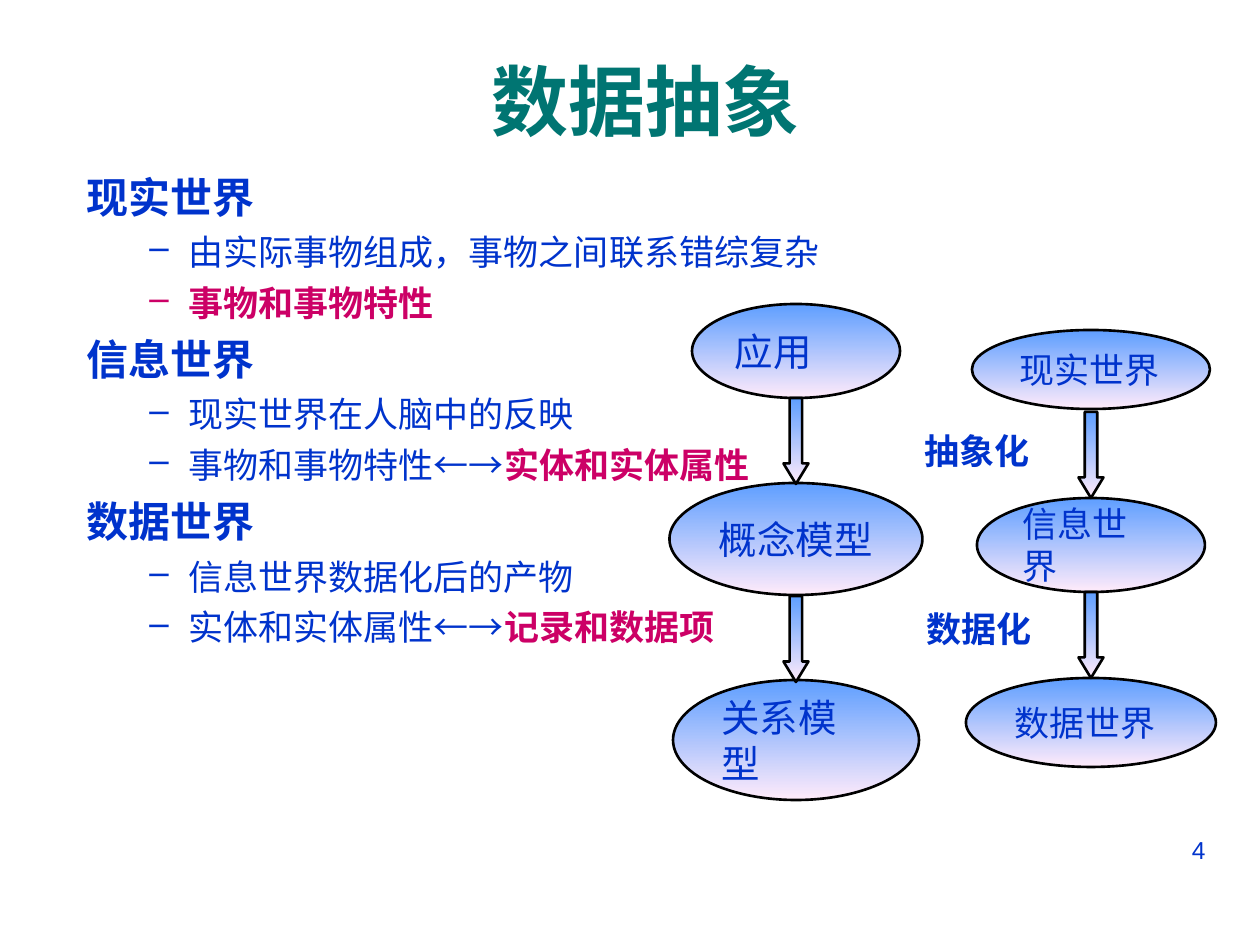
"""Build the data abstraction slide with its outline and two model chains."""
import lxml.etree
import pptx
import pptx.dml.color
import pptx.enum.shapes
import pptx.enum.text
import pptx.oxml.ns
import pptx.util

PX = 914400 / 126
COLORS = {"blue": "0033CC", "pink": "CC0066", "teal": "007572",
          "top": "5E9EFF", "bottom": "FFEBFA", "line": "000000"}
CJK = "Noto Sans CJK SC"
ALIGN = pptx.enum.text.PP_ALIGN
ANCHOR = pptx.enum.text.MSO_ANCHOR
SHAPE = pptx.enum.shapes.MSO_SHAPE


def rgb(name):
    return pptx.dml.color.RGBColor.from_string(COLORS[name])


def add_run(p, text, color="blue", latin="Arial", **formats):
    r = p.add_run()
    r.text = text
    r.font.color.rgb = rgb(color)
    r.font.name = latin
    for key, value in formats.items():
        setattr(r.font, key, pptx.util.Pt(value) if key == "size" else value)
    ea = lxml.etree.SubElement(r.font._element, pptx.oxml.ns.qn("a:ea"))
    ea.set("typeface", CJK)


prs = pptx.Presentation()
prs.slide_width = pptx.util.Inches(10)
prs.slide_height = pptx.util.Inches(7.5)
s = prs.slides.add_slide(prs.slide_layouts[5])

title = s.shapes.title
place = {"left": 126, "top": 21, "width": 1040, "height": 158}
for key, value in place.items():
    setattr(title, key, int(value * PX))
title.text_frame.vertical_anchor = ANCHOR.MIDDLE
p = title.text_frame.paragraphs[0]
p.alignment = ALIGN.CENTER
add_run(p, "数据抽象", "teal", "Times New Roman", size=44, bold=True)

outline = [
    (0, [("现实世界", "blue")]),
    (1, [("由实际事物组成，事物之间联系错综复杂", "blue")]),
    (1, [("事物和事物特性", "pink")]),
    (0, [("信息世界", "blue")]),
    (1, [("现实世界在人脑中的反映", "blue")]),
    (1, [("事物和事物特性←→", "blue"), ("实体和实体属性", "pink")]),
    (0, [("数据世界", "blue")]),
    (1, [("信息世界数据化后的产物", "blue")]),
    (1, [("实体和实体属性←→", "blue"), ("记录和数据项", "pink")]),
]
box = s.shapes.add_textbox(*[int(v * PX) for v in (74, 165, 1134, 755)])
tf = box.text_frame
tf.word_wrap = True
for i, (level, runs) in enumerate(outline):
    p = tf.paragraphs[0] if i == 0 else tf.add_paragraph()
    p.level = level
    if i:
        p.space_before = pptx.util.Pt(5 if level else 6)
    margin, indent = ((102, -39) if level else (48, -48))
    pPr = p._p.get_or_add_pPr()
    pPr.set("marL", str(int(margin * PX)))
    pPr.set("indent", str(int(indent * PX)))
    if level:
        clr = lxml.etree.SubElement(pPr, pptx.oxml.ns.qn("a:buClr"))
        lxml.etree.SubElement(clr, pptx.oxml.ns.qn("a:srgbClr")).set("val", COLORS[runs[0][1]])
        lxml.etree.SubElement(pPr, pptx.oxml.ns.qn("a:buChar")).set("char", "–")
    for text, color in runs:
        add_run(p, text, color, size=20 if level else 24,
                bold=level == 0 or color == "pink")

labels = [
    ("4", (903, 829, 315, 66), ALIGN.RIGHT, 14, False),
    ("抽象化", (912, 423, 164, 55), ALIGN.LEFT, 20, True),
    ("数据化", (914, 601, 146, 55), ALIGN.LEFT, 20, True),
]
for text, bounds, align, size, bold in labels:
    box = s.shapes.add_textbox(*[int(v * PX) for v in bounds])
    tf = box.text_frame
    tf.word_wrap = True
    p = tf.paragraphs[0]
    p.alignment = align
    add_run(p, text, size=size, bold=bold)

chains = [
    (796, 22, [("应用", 304, 208, 94), ("概念模型", 483, 253, 112), ("关系模型", 680, 246, 120)],
     [398, 596]),
    (1091, 20, [("现实世界", 330, 238, 79), ("信息世界", 498, 228, 94), ("数据世界", 678, 250, 89)],
     [412, 592]),
]
for center, size, nodes, arrows in chains:
    parts = [(SHAPE.OVAL, text, top, w, h) for text, top, w, h in nodes]
    parts += [(SHAPE.DOWN_ARROW, "", top, 25, 86) for top in arrows]
    for kind, text, top, w, h in parts:
        sp = s.shapes.add_shape(kind, *[int(v * PX) for v in (center - w / 2, top, w, h)])
        sp.shadow.inherit = False
        sp.fill.gradient()
        sp.fill.gradient_angle = 270
        for stop, position, color in zip(sp.fill.gradient_stops, (0, 1), ("top", "bottom")):
            stop.position = position
            stop.color.rgb = rgb(color)
        sp.line.color.rgb = rgb("line")
        sp.line.width = pptx.util.Pt(1.5)
        if kind == SHAPE.DOWN_ARROW:
            sp.adjustments[0] = 0.5
            sp.adjustments[1] = 0.82
            continue
        tf = sp.text_frame
        tf.word_wrap = True
        tf.vertical_anchor = ANCHOR.MIDDLE
        p = tf.paragraphs[0]
        p.alignment = ALIGN.LEFT
        add_run(p, text, latin=CJK, size=size)

prs.save("out.pptx")
